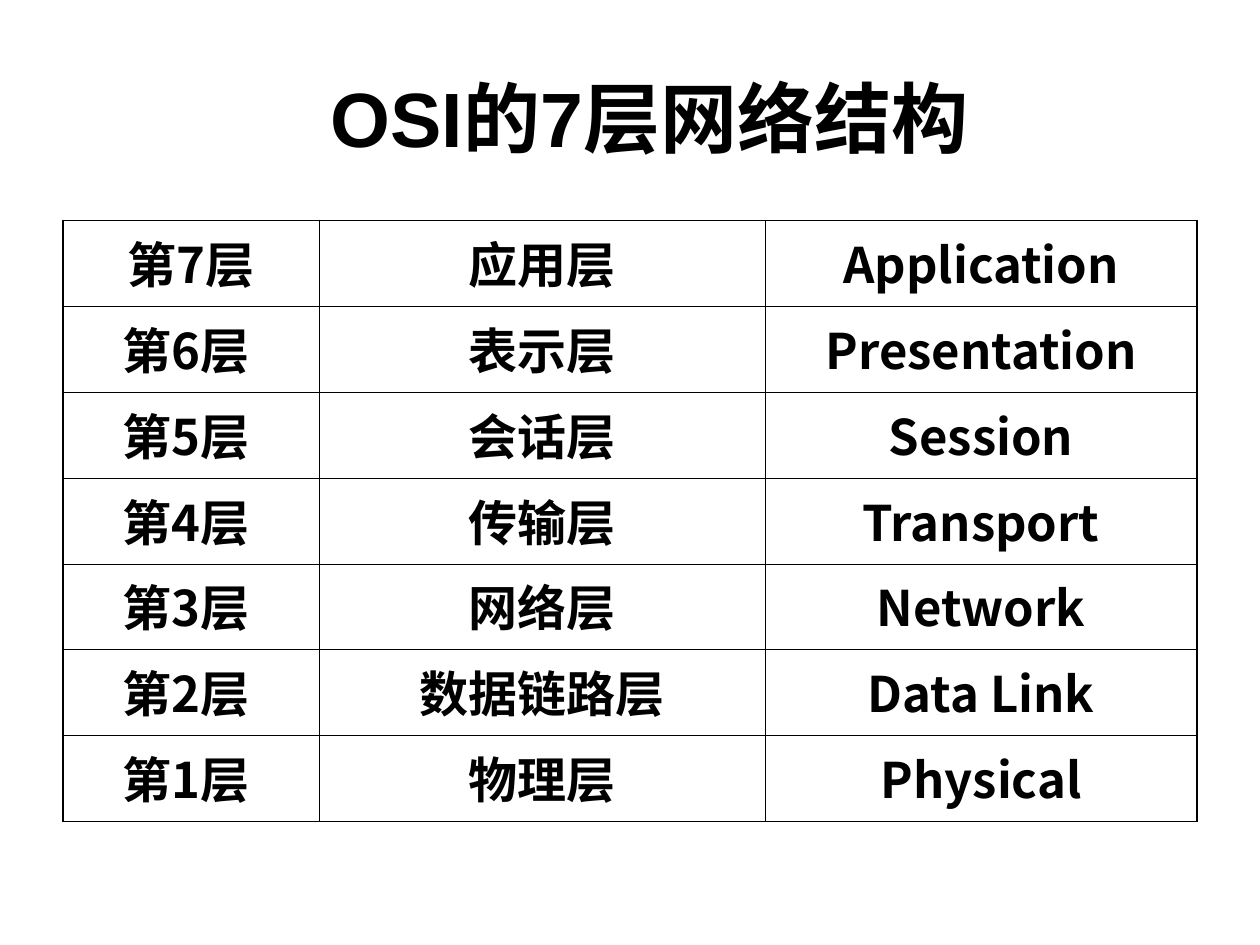
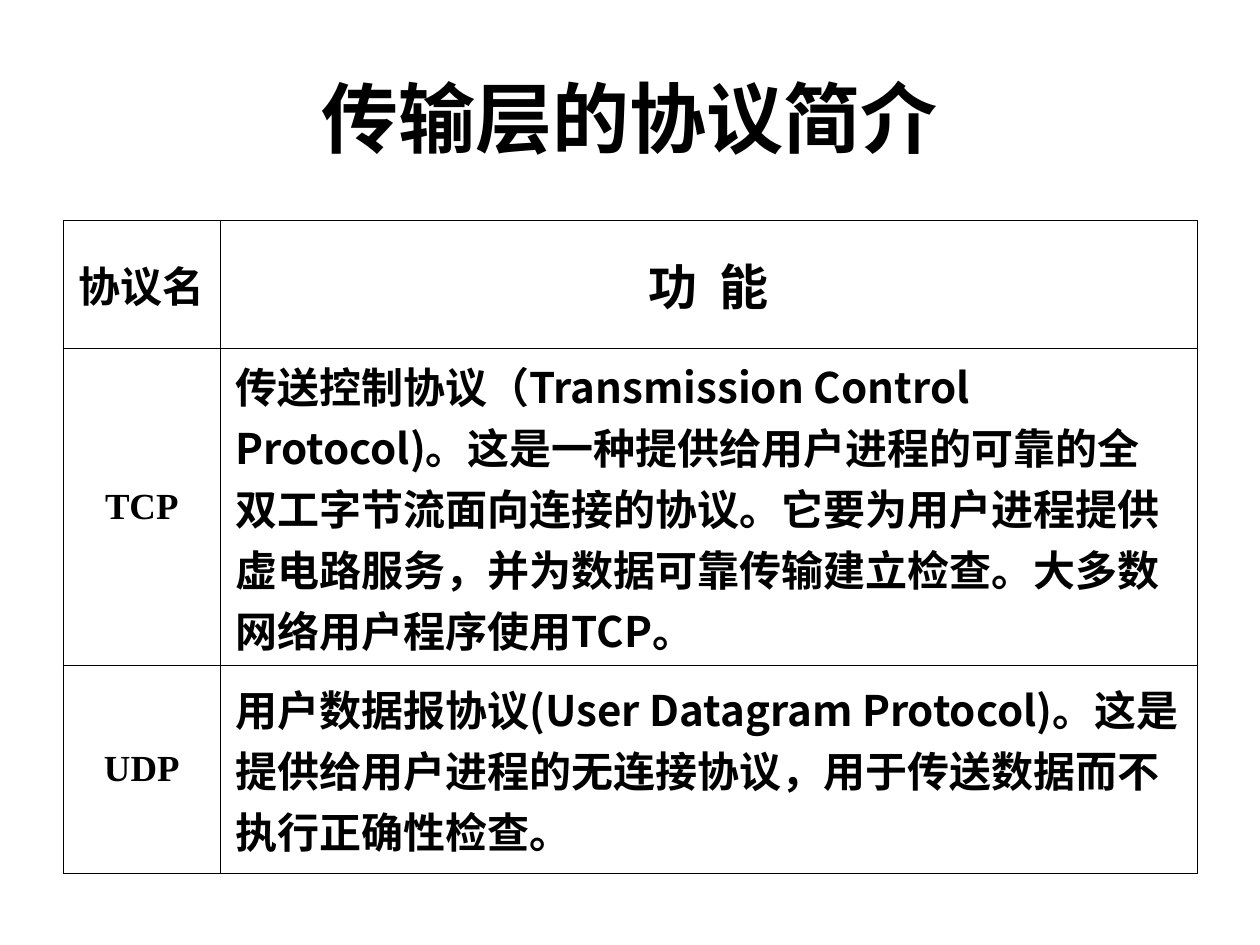
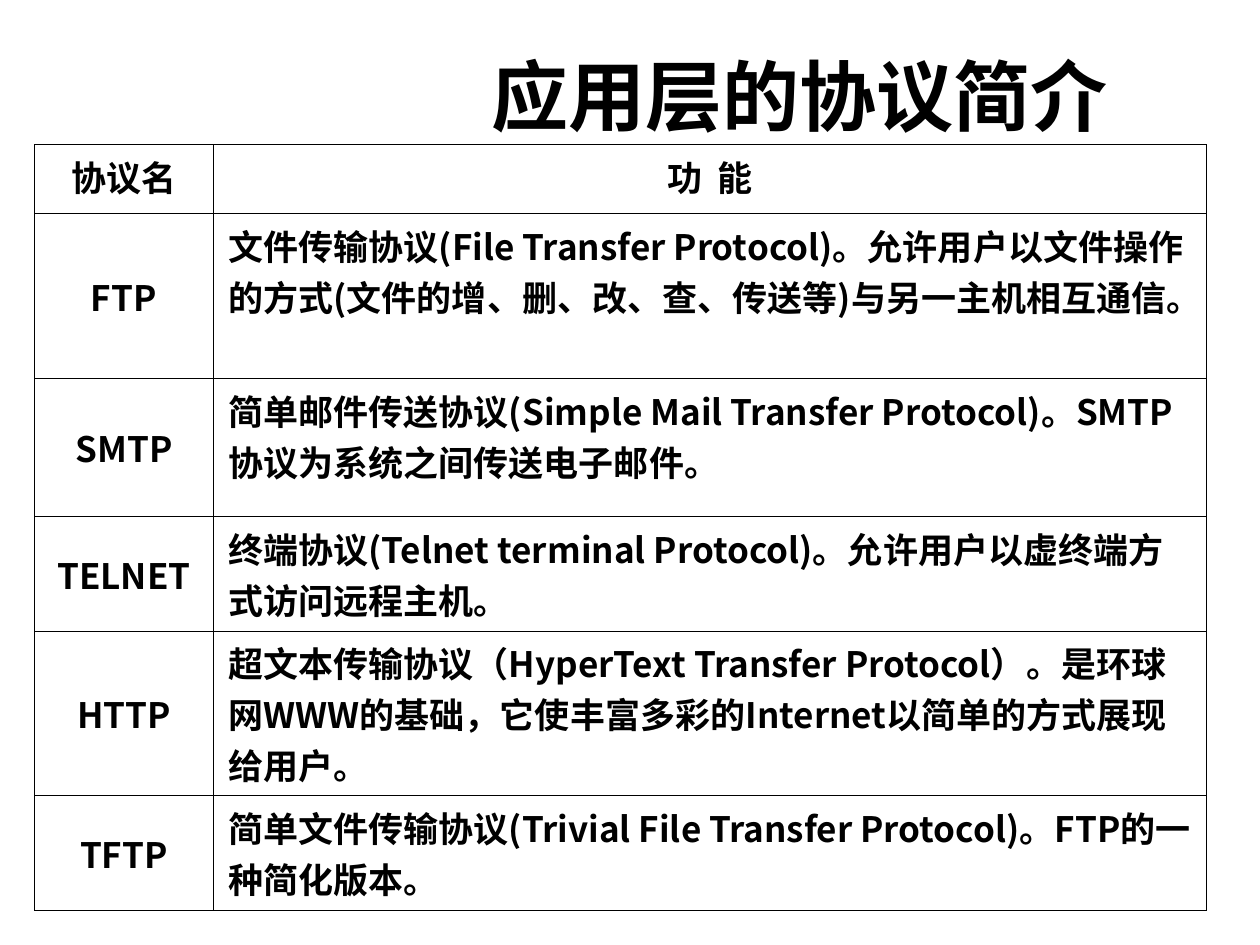
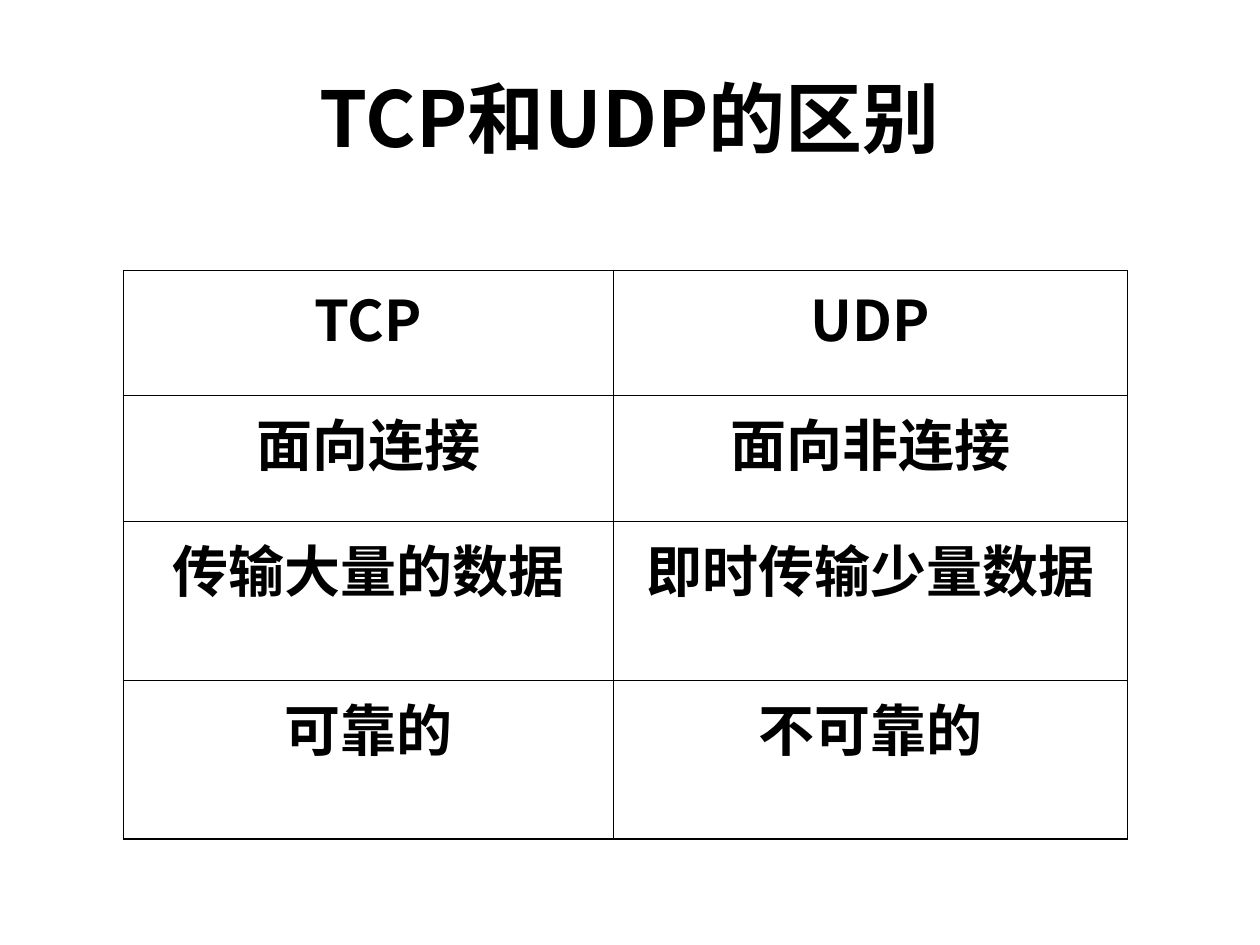
from dataclasses import dataclass

from lxml import etree
from pptx import Presentation
from pptx.dml.color import RGBColor
from pptx.enum.lang import MSO_LANGUAGE_ID
from pptx.enum.text import MSO_ANCHOR, PP_ALIGN
from pptx.oxml.ns import qn
from pptx.util import Pt

CENTER, LEFT = PP_ALIGN.CENTER, PP_ALIGN.LEFT
TOP, MIDDLE = MSO_ANCHOR.TOP, MSO_ANCHOR.MIDDLE
CHINESE = MSO_LANGUAGE_ID.SIMPLIFIED_CHINESE


@dataclass(frozen=True)
class Theme:
    ink: str = "000000"
    paper: str = "FFFFFF"
    sans: str = "Arial"
    serif: str = "Times New Roman"
    chinese: str = "Noto Sans CJK SC"
    title_size: float = 44
    layer_size: float = 28
    function_size: float = 24
    name_size: float = 21
    application_size: float = 20
    contrast_size: float = 32
    thin: float = 0.45
    thick: float = 1.08
    pad_x: float = 8.64
    pad_y: float = 3.6


THEME = Theme()
TITLE_BOX = (36, 21.6, 648, 90)


@dataclass(frozen=True)
class Style:
    size: float
    font: str = THEME.chinese
    align: int = CENTER
    anchor: int = TOP
    before: float = 0
    tracking: float = 0  # extra space after each letter, in points


# Shared text and border helpers
def write(frame, text, style):
    frame.word_wrap = True
    para = frame.paragraphs[0]
    para.alignment = style.align
    para.space_before = Pt(style.before)
    span = para.add_run()
    span.text = text
    font = span.font
    font.size, font.bold, font.name = Pt(style.size), True, style.font
    font.color.rgb = RGBColor.from_string(THEME.ink)
    font.language_id = CHINESE
    props = span._r.get_or_add_rPr()
    etree.SubElement(props, qn("a:ea")).set("typeface", THEME.chinese)
    if style.tracking:
        props.set("spc", str(round(style.tracking * 100)))


def draw_borders(cell, widths):
    props = cell._tc.get_or_add_tcPr()
    for side, width in widths.items():
        line = etree.SubElement(props, qn(f"a:ln{side}"), w=str(Pt(width)))
        fill = etree.SubElement(line, qn("a:solidFill"))
        etree.SubElement(fill, qn("a:srgbClr"), val=THEME.ink)


# Title region
def add_title(page, text, bounds=TITLE_BOX, font=THEME.sans):
    box = page.shapes.add_textbox(*map(Pt, bounds))
    box.text_frame.vertical_anchor = MIDDLE
    write(box.text_frame, text, Style(THEME.title_size, font))


# Table region: style_of(row, column) gives the style of each cell
def add_grid(page, left, top, columns, heights, rows, style_of, edge=THEME.thin):
    bounds = (left, top, sum(columns), sum(heights))
    table = page.shapes.add_table(len(heights), len(columns), *map(Pt, bounds)).table
    table.first_row = table.horz_banding = False
    for column, width in zip(table.columns, columns):
        column.width = Pt(width)
    for row, height in zip(table.rows, heights):
        row.height = Pt(height)

    last_row, last_column = len(heights) - 1, len(columns) - 1
    for r, texts in enumerate(rows):
        for c, text in enumerate(texts):
            cell, style = table.cell(r, c), style_of(r, c)
            cell.margin_left = cell.margin_right = Pt(THEME.pad_x)
            cell.margin_top = cell.margin_bottom = Pt(THEME.pad_y)
            cell.vertical_anchor = style.anchor
            write(cell.text_frame, text, style)
            outer = {"L": c == 0, "R": c == last_column,
                     "T": r == 0, "B": r == last_row}
            draw_borders(cell, {side: edge if is_outer else THEME.thin
                                for side, is_outer in outer.items()})
            cell.fill.background()


# Slide 1: the seven layers
def build_layers(page):
    add_title(page, "OSI的7层网络结构", (58.5, 21.6, 625.7, 90))
    layers = [("应用层", "Application"), ("表示层", "Presentation"),
              ("会话层", "Session"), ("传输层", "Transport"),
              ("网络层", "Network"), ("数据链路层", "Data Link"),
              ("物理层", "Physical")]
    count = len(layers)
    rows = [(f"第{count - i}层" + (" " if i else ""), *names)
            for i, names in enumerate(layers)]
    style = Style(THEME.layer_size, before=7)
    add_grid(page, 36, 126, [146.5, 254.8, 246.7], [49.07] * count, rows,
             lambda r, c: style, THEME.thick)


# Slide 2: transport protocols
def build_transport(page):
    add_title(page, "传输层的协议简介")
    rows = [
        ("协议名", "功 能"),
        ("TCP", "传送控制协议（Transmission Control Protocol)。这是一种提供给用户进程的"
                "可靠的全双工字节流面向连接的协议。它要为用户进程提供虚电路服务，"
                "并为数据可靠传输建立检查。大多数网络用户程序使用TCP。"),
        ("UDP", "用户数据报协议(User Datagram Protocol)。这是提供给用户进程的"
                "无连接协议，用于传送数据而不执行正确性检查。"),
    ]
    header = [Style(THEME.function_size, THEME.serif, anchor=MIDDLE),
              Style(THEME.layer_size, THEME.serif, anchor=MIDDLE, tracking=3.2)]
    body = [Style(THEME.name_size, THEME.serif, anchor=MIDDLE),
            Style(THEME.function_size, align=LEFT, anchor=MIDDLE)]
    add_grid(page, 36, 126, [90, 558], [73.2, 181.2, 118.8], rows,
             lambda r, c: (body if r else header)[c])


# Slide 3: application protocols
def build_application(page):
    add_title(page, "应用层的协议简介", (228.24, 36, 457.92, 36))
    rows = [
        ("协议名", "功 能"),
        ("FTP", "文件传输协议(File Transfer Protocol)。允许用户以文件操作的方式"
                "(文件的增、删、改、查、传送等)与另一主机相互通信。"),
        ("SMTP", "简单邮件传送协议(Simple Mail Transfer Protocol)。"
                 "SMTP协议为系统之间传送电子邮件。"),
        ("TELNET", "终端协议(Telnet terminal Protocol)。允许用户以虚终端方式访问远程主机。"),
        ("HTTP", "超文本传输协议（HyperText Transfer Protocol）。是环球网WWW的基础，"
                 "它使丰富多彩的Internet以简单的方式展现给用户。"),
        ("TFTP", "简单文件传输协议(Trivial File Transfer Protocol)。FTP的一种简化版本。"),
    ]
    size = THEME.application_size
    header = [Style(size), Style(size, tracking=2.1)]
    body = [Style(size, anchor=MIDDLE), Style(size, align=LEFT)]
    add_grid(page, 19.7, 82.5, [102.2, 567.4],
             [39.5, 94.2, 79, 65.4, 94.2, 65.4], rows,
             lambda r, c: (body if r else header)[c])


# Slide 4: TCP against UDP
def build_contrast(page):
    add_title(page, "TCP和UDP的区别", font=THEME.chinese)
    rows = [("TCP", "UDP"), ("面向连接", "面向非连接"),
            ("传输大量的数据", "即时传输少量数据"), ("可靠的", "不可靠的")]
    style = Style(THEME.contrast_size, before=8)
    add_grid(page, 70.56, 154.5, [280, 293.8], [71.5, 71.9, 90.8, 90.8], rows,
             lambda r, c: style, THEME.thick)


def main():
    deck = Presentation()
    deck.slide_width, deck.slide_height = Pt(720), Pt(540)
    for build in (build_layers, build_transport, build_application, build_contrast):
        page = deck.slides.add_slide(deck.slide_layouts[6])
        page.background.fill.solid()
        page.background.fill.fore_color.rgb = RGBColor.from_string(THEME.paper)
        build(page)
    deck.save("out.pptx")


if __name__ == "__main__":
    main()
